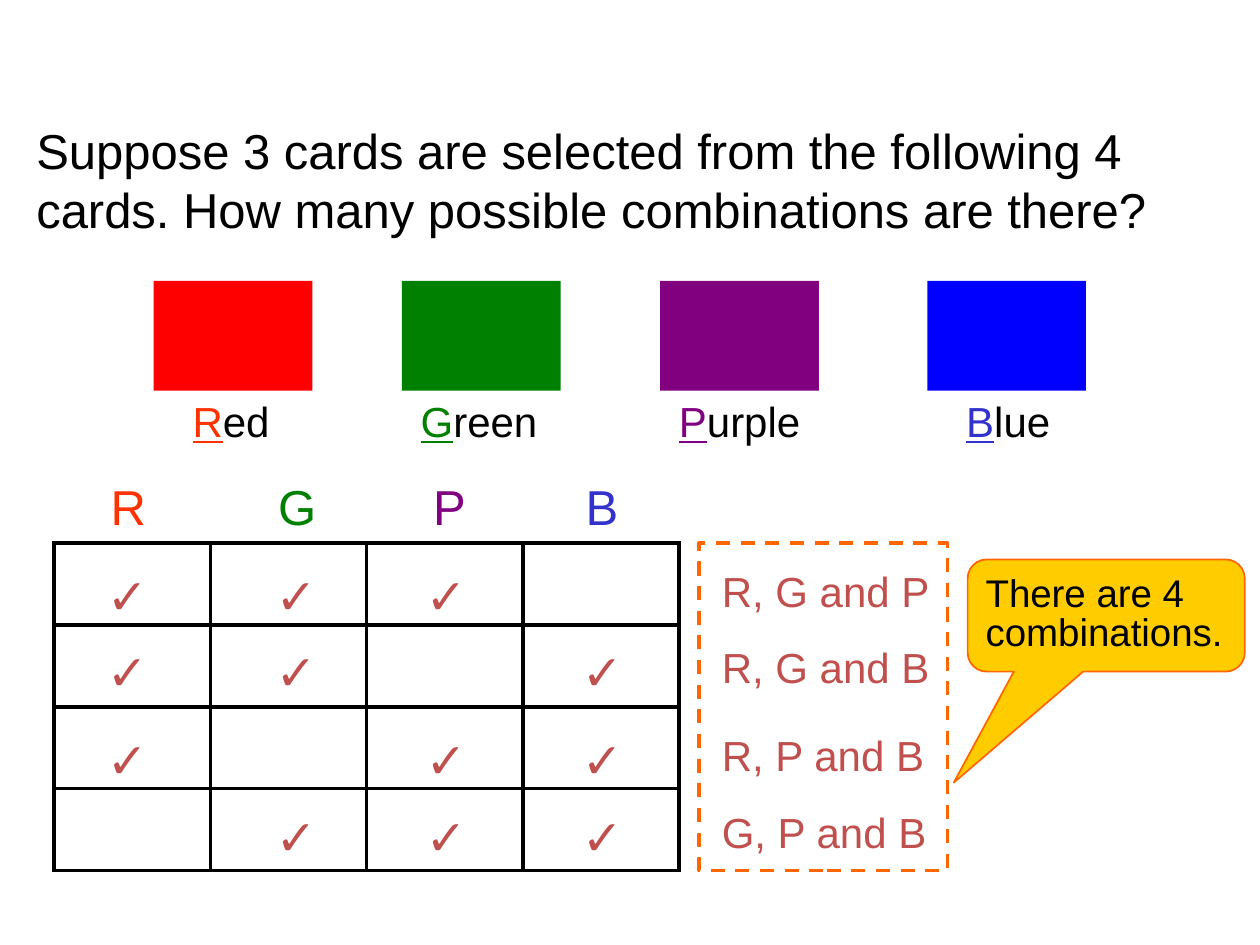
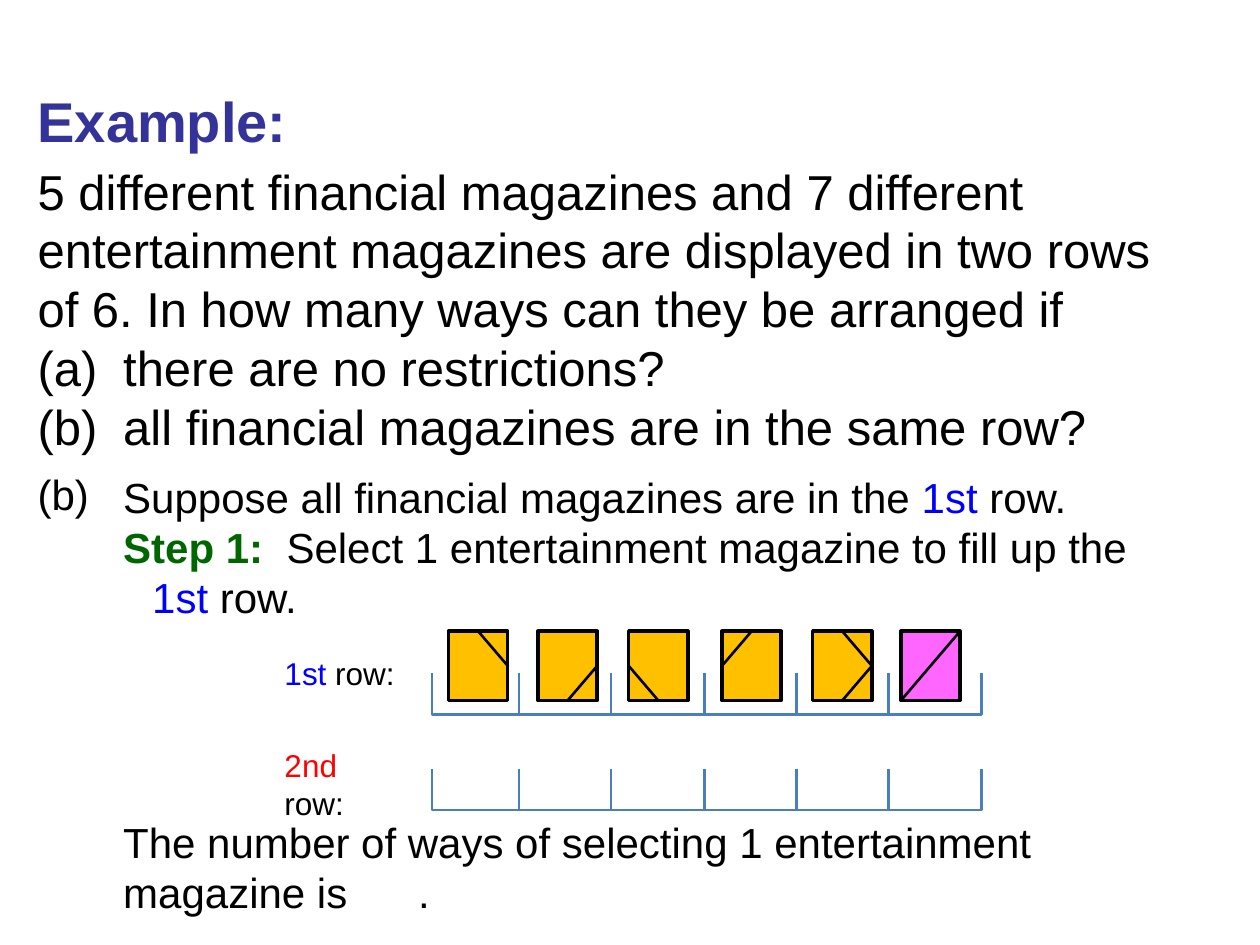
import pptx
import pptx.dml.color
import pptx.enum.dml
import pptx.enum.shapes
import pptx.enum.text
import pptx.oxml
import pptx.oxml.ns
import pptx.util
from pptx.util import Inches

FONT = "Arial"
COLORS = {
    "black": "000000", "red": "FF0000", "green": "008000", "purple": "800080",
    "blue": "0000FF", "red_letter": "FF3300", "blue_letter": "3333CC",
    "answer": "C0504D", "orange": "FF6600", "callout": "FFCC00",
    "heading": "333399", "step": "006600", "bracket": "4B7EBC",
    "financial": "FFC000", "entertainment": "FF66FF",
}
SHAPES = pptx.enum.shapes.MSO_SHAPE
LETTERS = "RGPB"
LETTER_COLORS = dict(zip(LETTERS, ("red_letter", "green", "purple", "blue_letter")))


def rgb(color):
    return pptx.dml.color.RGBColor.from_string(COLORS[color])


def put_text(tf, text, size=24, color="black", bold=False, before=0, spacing=None,
             tab=None, hanging=0):
    paragraphs = [[text]] if isinstance(text, str) else text
    for i, runs in enumerate(paragraphs):
        p = tf.paragraphs[0] if i == 0 else tf.add_paragraph()
        p.alignment = pptx.enum.text.PP_ALIGN.LEFT
        p.space_before = pptx.util.Pt(before if i == 0 else 0)
        if spacing:
            p.line_spacing = spacing
        pPr = p._p.get_or_add_pPr()
        if hanging:
            pPr.set("marL", str(Inches(hanging)))
            pPr.set("indent", str(-Inches(hanging)))
        if tab:
            tabs = pptx.oxml.parse_xml(
                f'<a:tabLst {pptx.oxml.ns.nsdecls("a")}>'
                f'<a:tab pos="{Inches(tab)}" algn="l"/></a:tabLst>')
            pPr.append(tabs)
        for run in runs:
            if run == "\n":
                p.add_line_break()
                continue
            words, changes = (run, {}) if isinstance(run, str) else run
            r = p.add_run()
            r.text = words
            r.font.name = FONT
            r.font.size = pptx.util.Pt(size)
            r.font.bold = changes.get("bold", bold)
            r.font.underline = changes.get("underline", False)
            r.font.color.rgb = rgb(changes.get("color", color))


def add_text(s, text, x, y, w, h, wrap=True, **format):
    tf = s.shapes.add_textbox(Inches(x), Inches(y), Inches(w), Inches(h)).text_frame
    tf.word_wrap = wrap
    tf.auto_size = pptx.enum.text.MSO_AUTO_SIZE.SHAPE_TO_FIT_TEXT
    put_text(tf, text, **format)


def add_box(shapes, x, y, w, h, kind=SHAPES.RECTANGLE, fill=None, line=None, width=1):
    sp = shapes.add_shape(kind, Inches(x), Inches(y), Inches(w), Inches(h))
    sp.shadow.inherit = False
    if fill:
        sp.fill.solid()
        sp.fill.fore_color.rgb = rgb(fill)
    else:
        sp.fill.background()
    if line:
        sp.line.color.rgb = rgb(line)
        sp.line.width = pptx.util.Pt(width)
    else:
        sp.line.fill.background()
    return sp


def add_line(shapes, x1, y1, x2, y2):
    c = shapes.add_connector(pptx.enum.shapes.MSO_CONNECTOR.STRAIGHT,
                             Inches(x1), Inches(y1), Inches(x2), Inches(y2))
    c.line.color.rgb = rgb("black")
    c.line.width = pptx.util.Pt(1.5)
    c._element.spPr.append(
        pptx.oxml.parse_xml(f'<a:effectLst {pptx.oxml.ns.nsdecls("a")}/>'))
    return c


def add_grid(s, x, y, col_width, row_height, count):
    table = s.shapes.add_table(count, count, Inches(x), Inches(y),
                               Inches(col_width * count), Inches(row_height * count)).table
    table.first_row = table.horz_banding = False
    for col in table.columns:
        col.width = Inches(col_width)
    for row in table.rows:
        row.height = Inches(row_height)
    for cell in table.iter_cells():
        tcPr = cell._tc.get_or_add_tcPr()
        for side in ("lnL", "lnR", "lnT", "lnB"):
            tcPr.append(pptx.oxml.parse_xml(
                f'<a:{side} {pptx.oxml.ns.nsdecls("a")} w="{pptx.util.Pt(2.25)}">'
                f'<a:solidFill><a:srgbClr val="{COLORS["black"]}"/></a:solidFill></a:{side}>'))
        cell.fill.background()


def add_card(s, x, name, color, label_x, label_w):
    add_box(s.shapes, x, 2.23, 1.26, 0.87, fill=color)
    initial = (name[0], {"color": LETTER_COLORS[name[0]], "underline": True})
    add_text(s, [[initial, name[1:]]], label_x, 3.09, label_w, 0.5, wrap=False)


def add_shelf(s, bottom):
    edges = [3.43, 4.12, 4.85, 5.59, 6.32, 7.05, 7.79]
    depth = 0.33
    group = s.shapes.add_group_shape()
    for left, right in zip(edges, edges[1:]):
        width = right - left
        sp = add_box(group.shapes, (left + right - depth) / 2,
                     bottom - (depth + width) / 2, depth, width,
                     kind=SHAPES.LEFT_BRACKET, line="bracket", width=1.5)
        sp.adjustments[0] = 0
        sp.rotation = 270


def add_magazine(s, x, fill, folds):
    y, w, h = 5.01, 0.47, 0.55
    group = s.shapes.add_group_shape()
    cover = add_box(group.shapes, x, y, w, h, fill=fill, line="black", width=2)
    middles = [(x + w / 2, y), (x, y + h / 2), (x + w / 2, y + h), (x + w, y + h / 2)]
    for start, end in folds:
        c = add_line(group.shapes, *middles[start], *middles[end])
        c.begin_connect(cover, start)
        c.end_connect(cover, end)
    if not folds:
        add_line(group.shapes, x, y + h, x + w, y)


def build_cards_slide(s):
    add_text(s, "Suppose 3 cards are selected from the following 4 cards. "
             "How many possible combinations are there?", 0.19, 0.91, 9.53, 1.04, size=28)
    for card in ((1.22, "Red", "red", 1.43, 0.81), (3.19, "Green", "green", 3.24, 1.13),
                 (5.24, "Purple", "purple", 5.29, 1.17), (7.36, "Blue", "blue", 7.57, 0.87)):
        add_card(s, *card)

    add_grid(s, 0.43, 4.31, 1.24, 0.65, len(LETTERS))
    for letter, x in zip(LETTERS, (0.78, 2.11, 3.34, 4.55)):
        add_text(s, letter, x, 3.73, 0.5, 0.57, wrap=False, size=28,
                 color=LETTER_COLORS[letter])

    sp = add_box(s.shapes, 5.55, 4.31, 1.97, 2.6, line="orange", width=2)
    sp.line.dash_style = pptx.enum.dml.MSO_LINE.DASH
    check_x = dict(zip(LETTERS, (0.75, 2.09, 3.28, 4.52)))
    for combination, y in zip(("RGP", "RGB", "RPB", "GPB"), (4.44, 5.04, 5.74, 6.35)):
        for letter in combination:
            add_text(s, "✓", check_x[letter], y, 0.5, 0.57, wrap=False, size=28,
                     color="answer", bold=True)
        first, second, third = combination
        add_text(s, f"{first}, {second} and {third}", 5.63, y, 1.85, 0.5, wrap=False,
                 color="answer")

    sp = add_box(s.shapes, 7.68, 4.44, 2.2, 0.89, kind=SHAPES.ROUNDED_RECTANGULAR_CALLOUT,
                 fill="callout", line="orange")
    for i, value in enumerate((-0.55, 1.49, 0.17)):
        sp.adjustments[i] = value
    sp.text_frame.vertical_anchor = pptx.enum.text.MSO_ANCHOR.MIDDLE
    put_text(sp.text_frame, "There are 4 combinations.", size=22, before=2, spacing=0.85)


def build_magazines_slide(s):
    first = ("1st", {"color": "blue"})
    second = ("2nd", {"color": "red"})
    add_text(s, "Example:", 0.2, 0.64, 8.58, 0.63, size=32, color="heading", bold=True)
    add_text(s, [["5 different financial magazines and 7 different entertainment magazines "
                  "are displayed in two rows of 6. In how many ways can they be arranged if"],
                 ["(a)\tthere are no restrictions?"],
                 ["(b)\tall financial magazines are in the same row?"]],
             0.2, 1.23, 9.14, 2.46, size=28, before=5.6, tab=0.68)
    add_text(s, "(b)", 0.2, 3.67, 0.61, 0.5, wrap=False)
    add_text(s, [["Suppose all financial magazines are in the ", first, " row."],
                 [("Step 1:  ", {"color": "step", "bold": True}),
                  "Select 1 entertainment magazine to fill up the", "\n", first, " row."]],
             0.88, 3.69, 8.77, 1.31, hanging=0.23)
    add_text(s, [[first, " row:"]], 2.16, 5.14, 1.33, 0.4, size=18)
    add_text(s, [[second, " row:"]], 2.16, 5.87, 1.1, 0.4, size=18)
    add_text(s, "The number of ways of selecting 1 entertainment magazine is\t.",
             0.88, 6.43, 8.77, 0.91, tab=2.34)

    for bottom in (5.67, 6.43):
        add_shelf(s, bottom)
    for x, folds in ((3.56, [(3, 0)]), (4.27, [(3, 2)]), (4.99, [(2, 1)]),
                     (5.73, [(0, 1)]), (6.45, [(0, 3), (3, 2)])):
        add_magazine(s, x, "financial", folds)
    add_magazine(s, 7.15, "entertainment", [])


def main():
    prs = pptx.Presentation()
    prs.slide_width = Inches(10)
    prs.slide_height = Inches(7.5)
    for build in (build_cards_slide, build_magazines_slide):
        build(prs.slides.add_slide(prs.slide_layouts[6]))
    prs.save("out.pptx")


if __name__ == "__main__":
    main()
